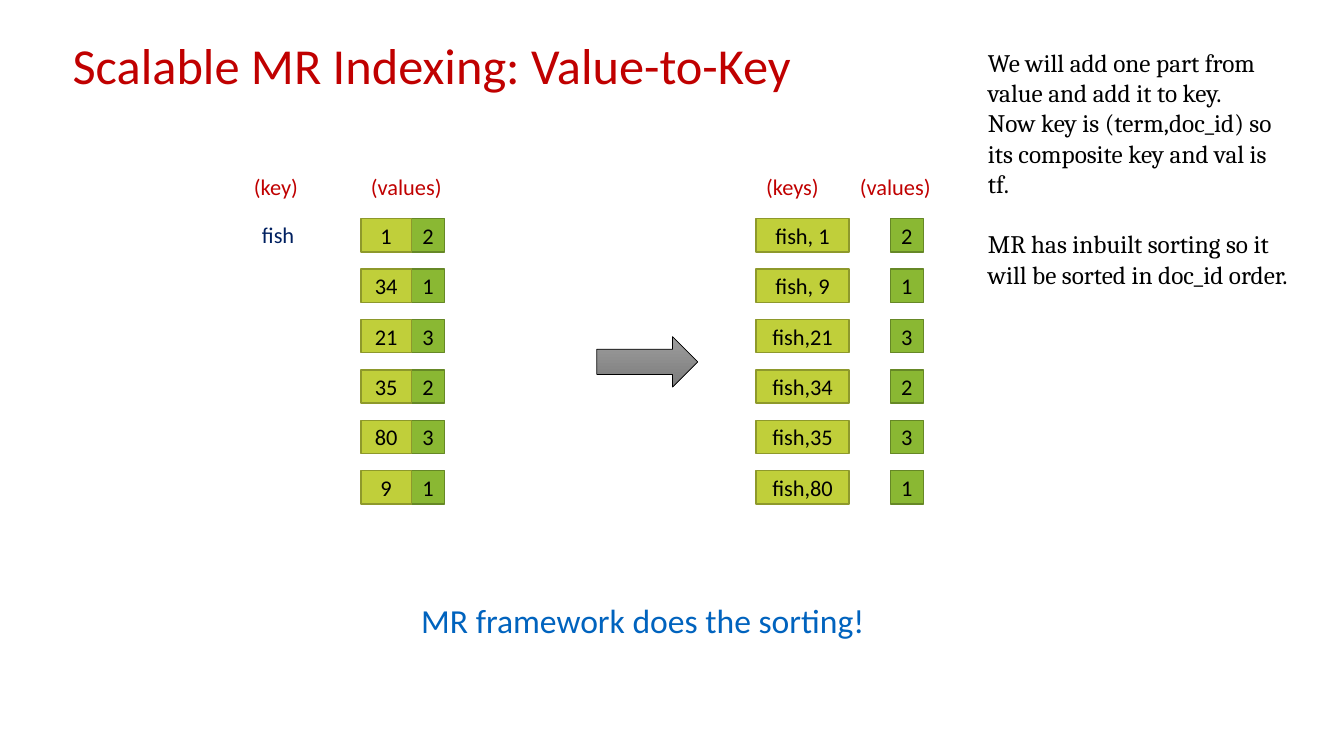
from pptx import Presentation
from pptx.dml.color import RGBColor
from pptx.enum.shapes import MSO_SHAPE
from pptx.enum.text import MSO_ANCHOR, PP_ALIGN
from pptx.util import Inches, Pt

RECT, ARROW = MSO_SHAPE.RECTANGLE, MSO_SHAPE.RIGHT_ARROW
LEFT, CENTER = PP_ALIGN.LEFT, PP_ALIGN.CENTER
TOP, MIDDLE = MSO_ANCHOR.TOP, MSO_ANCHOR.MIDDLE

BLACK = RGBColor(0x00, 0x00, 0x00)
RED = RGBColor(0xC0, 0x00, 0x00)
NAVY = RGBColor(0x00, 0x20, 0x60)
BLUE = RGBColor(0x00, 0x63, 0xBE)
GREEN = RGBColor(0x8A, 0xB8, 0x33)
GREEN_EDGE = RGBColor(0x66, 0x88, 0x26)
LIME = RGBColor(0xC0, 0xCF, 0x3A)
LIME_EDGE = RGBColor(0x8E, 0x99, 0x2B)
LIGHT_GRAY = RGBColor(0x9D, 0x9D, 0x9D)
DARK_GRAY = RGBColor(0x7C, 0x7C, 0x7C)

prs = Presentation()
prs.slide_width, prs.slide_height = Inches(13.33), Inches(7.5)
slide = prs.slides.add_slide(prs.slide_layouts[5])
shapes = slide.shapes


def write(shape, text, size=16, color=BLACK, font="Calibri", align=LEFT,
          anchor=TOP, wrap=False):
    frame = shape.text_frame
    frame.text = text
    frame.word_wrap = wrap
    frame.vertical_anchor = anchor
    for para in frame.paragraphs:
        para.alignment = align
        para.font.size = Pt(size)
        para.font.name = font
        para.font.color.rgb = color
    return frame


def add_cell(text, left, top, width, fill, edge):
    cell = shapes.add_shape(RECT, Inches(left), Inches(top), Inches(width), Inches(0.33))
    cell.shadow.inherit = False
    cell.fill.solid()
    cell.fill.fore_color.rgb = fill
    cell.line.color.rgb = edge
    cell.line.width = Pt(1)
    write(cell, text, align=CENTER, anchor=MIDDLE)


title = shapes.title
title.left, title.top = Inches(0.62), Inches(0.26)
title.width, title.height = Inches(10), Inches(0.75)
write(title, "Scalable MR Indexing: Value-to-Key", size=36, color=RED,
      anchor=MIDDLE, wrap=True)

# Postings before and after the document id moves into the key
rows = [
    ("1", "2", "fish, 1"),
    ("34", "1", "fish, 9"),
    ("21", "3", "fish,21"),
    ("35", "2", "fish,34"),
    ("80", "3", "fish,35"),
    ("9", "1", "fish,80"),
]
for i, (doc, count, key) in enumerate(rows):
    top = 2.17 + 0.5 * i
    add_cell(count, 4.08, top, 0.33, GREEN, GREEN_EDGE)
    add_cell(doc, 3.58, top, 0.5, LIME, LIME_EDGE)
    add_cell(key, 7.5, top, 0.92, LIME, LIME_EDGE)
    add_cell(count, 8.83, top, 0.33, GREEN, GREEN_EDGE)

labels = [
    ("(key)", 2.42, 1.67, 0.65, 0.37, 16, RED),
    ("(values)", 3.58, 1.67, 0.91, 0.37, 16, RED),
    ("(keys)", 7.5, 1.67, 0.73, 0.37, 16, RED),
    ("(values)", 8.43, 1.67, 0.91, 0.37, 16, RED),
    ("fish", 2.5, 2.14, 0.53, 0.37, 16, NAVY),
    ("MR framework does the sorting!", 4.08, 5.9, 4.64, 0.5, 24, BLUE),
]
for text, left, top, width, height, size, color in labels:
    label = shapes.add_textbox(Inches(left), Inches(top), Inches(width), Inches(height))
    write(label, text, size=size, color=color)

arrow = shapes.add_shape(ARROW, Inches(5.92), Inches(3.34), Inches(1), Inches(0.5))
arrow.shadow.inherit = False
arrow.fill.gradient()
arrow.fill.gradient_angle = 270
for stop, color in zip(arrow.fill.gradient_stops, (LIGHT_GRAY, DARK_GRAY)):
    stop.color.rgb = color
arrow.line.color.rgb = BLACK
arrow.line.width = Pt(0.5)

note = shapes.add_textbox(Inches(9.7), Inches(0.42), Inches(3.2), Inches(3.13))
frame = write(
    note,
    "We will add one part from value and add it to key.\n"
    "Now key is (term,doc_id) so its composite key and val is tf.\n"
    "MR has inbuilt sorting so it will be sorted in doc_id order.",
    size=18, font="Cambria", wrap=True)
frame.paragraphs[2].space_before = Pt(21.6)

prs.save("out.pptx")
